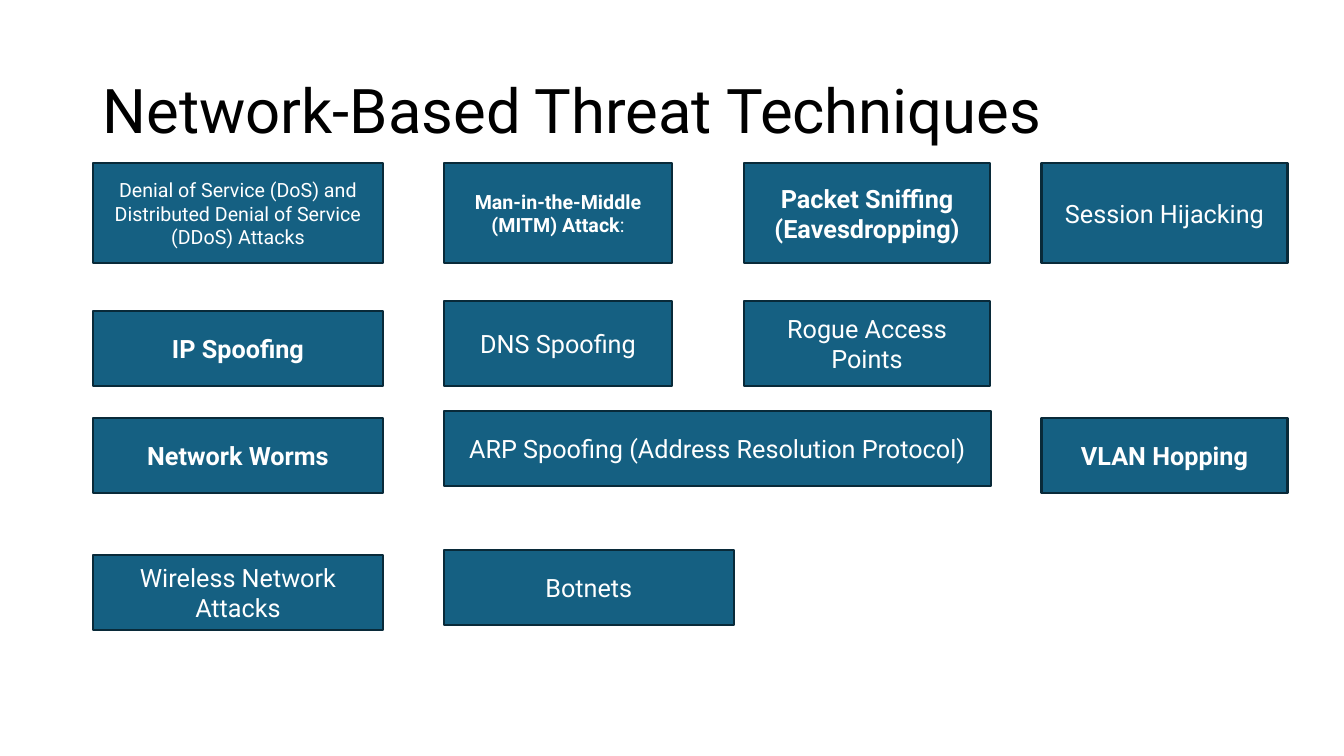
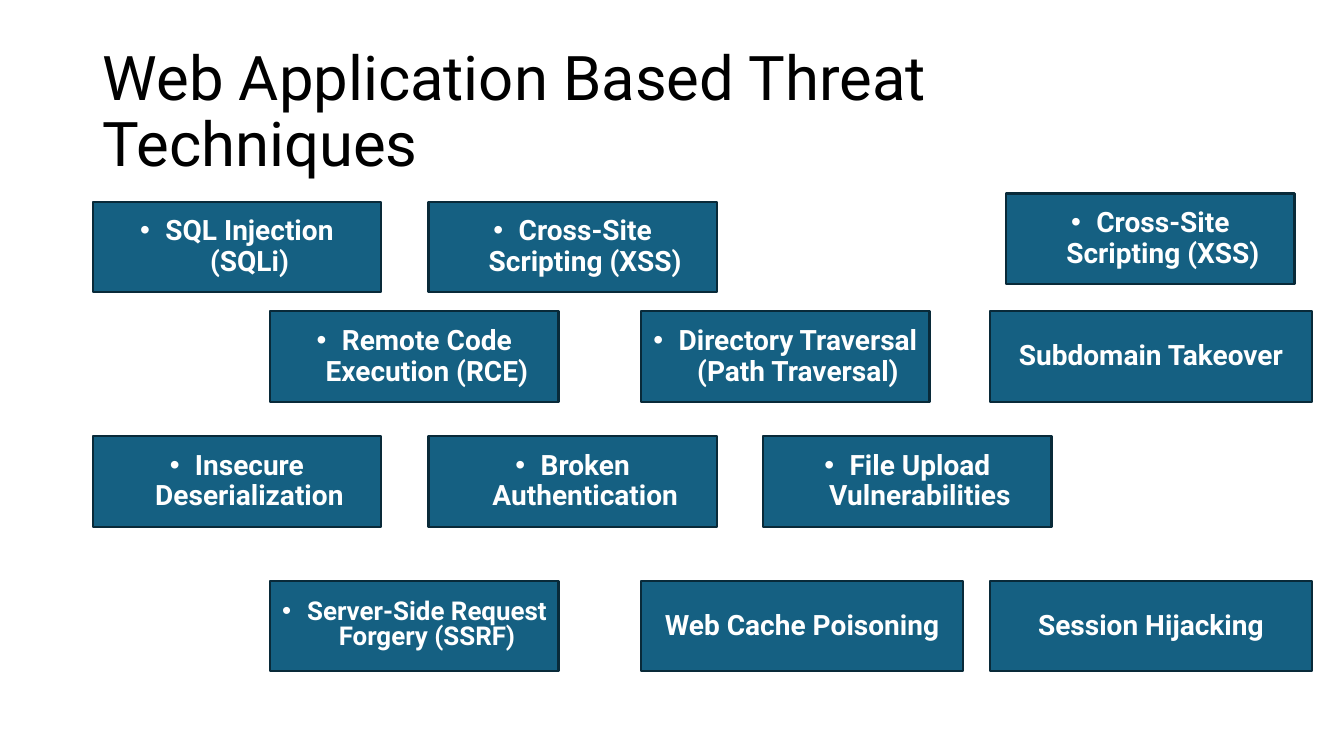
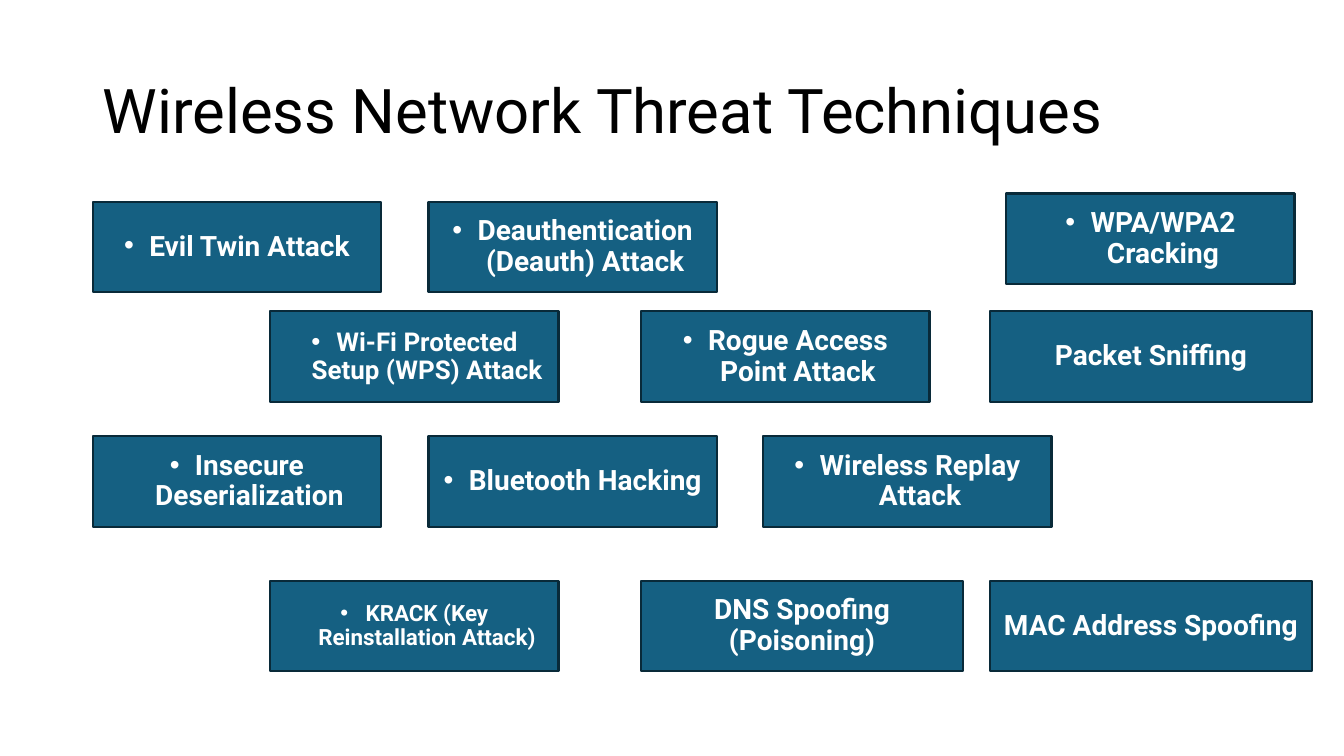
from pptx import Presentation
from pptx.dml.color import RGBColor
from pptx.enum.shapes import MSO_SHAPE
from pptx.enum.text import MSO_ANCHOR, PP_ALIGN
from pptx.oxml.ns import qn
from pptx.util import Inches, Pt
from lxml import etree

BLACK = RGBColor(0x00, 0x00, 0x00)
WHITE = RGBColor(0xFF, 0xFF, 0xFF)
TEAL = RGBColor(0x15, 0x60, 0x82)
DARK_TEAL = RGBColor(0x09, 0x2A, 0x39)
FONT = "Roboto"

deck = Presentation()
deck.slide_width = Inches(13.33)
deck.slide_height = Inches(7.5)


def add_titled_slide(text):
    slide = deck.slides.add_slide(deck.slide_layouts[6])
    frame = slide.shapes.add_textbox(Inches(0.92), Inches(0.4), Inches(11.5), Inches(1.45)).text_frame
    frame.word_wrap = True
    frame.vertical_anchor = MSO_ANCHOR.MIDDLE
    frame.text = text
    heading = frame.paragraphs[0]
    heading.line_spacing = 0.9
    heading.font.size = Pt(44)
    heading.font.name = FONT
    heading.font.color.rgb = BLACK
    return slide


def add_card(slide, text, left, top, width, height, size, bold, bulleted=False, spacing=1.0):
    card = slide.shapes.add_shape(
        MSO_SHAPE.RECTANGLE, Inches(left), Inches(top), Inches(width), Inches(height))
    card.shadow.inherit = False
    card.fill.solid()
    card.fill.fore_color.rgb = TEAL
    card.line.color.rgb = DARK_TEAL
    card.line.width = Pt(1.5)
    frame = card.text_frame
    frame.word_wrap = True
    frame.vertical_anchor = MSO_ANCHOR.MIDDLE
    frame.text = text
    label = frame.paragraphs[0]
    label.alignment = PP_ALIGN.CENTER
    label.line_spacing = spacing
    if bulleted:
        properties = label._p.get_or_add_pPr()
        properties.set("marL", str(Inches(0.25)))
        properties.set("indent", str(-Inches(0.25)))
        etree.SubElement(properties, qn("a:buFont")).set("typeface", "Arial")
        etree.SubElement(properties, qn("a:buChar")).set("char", "•")
    label.font.size = Pt(size)
    label.font.name = FONT
    label.font.bold = bold
    label.font.color.rgb = WHITE
    return label


FIRST, SECOND, THIRD, FOURTH = (0.92, 2.88), (4.4, 2.27), (7.38, 2.44), (10.33, 2.44)
SECOND_TO_THIRD = (4.4, 5.43)
SECOND_WIDE = (4.4, 2.88)

network_techniques = [
    ("Denial of Service (DoS) and Distributed Denial of Service (DDoS) Attacks", FIRST, 1.62, 0.99, 14, False),
    ("Man-in-the-Middle (MITM) Attack", SECOND, 1.62, 0.99, 14, True),
    ("Packet Sniffing (Eavesdropping)", THIRD, 1.62, 0.99, 18, True),
    ("Session Hijacking", FOURTH, 1.62, 0.99, 18, False),
    ("IP Spoofing", FIRST, 3.09, 0.74, 18, True),
    ("DNS Spoofing", SECOND, 2.99, 0.84, 18, False),
    ("Rogue Access Points", THIRD, 2.99, 0.84, 18, False),
    ("Network Worms", FIRST, 4.15, 0.74, 18, True),
    ("ARP Spoofing (Address Resolution Protocol)", SECOND_TO_THIRD, 4.08, 0.74, 18, False),
    ("VLAN Hopping", FOURTH, 4.15, 0.74, 18, True),
    ("Wireless Network Attacks", FIRST, 5.51, 0.74, 18, False),
    ("Botnets", SECOND_WIDE, 5.46, 0.74, 18, False),
]

network_slide = add_titled_slide("Network-Based Threat Techniques")
for technique, (left, width), top, height, size, bold in network_techniques:
    label = add_card(network_slide, technique, left, top, width, height, size, bold)
    if technique.startswith("Man-in-the-Middle"):
        colon = label.add_run()
        colon.text = ":"
        colon.font.bold = False

CARD_HEIGHT = 0.9
NARROW, WIDE = 2.86, 3.19
staggered_places = [
    (0.92, 2.0, NARROW), (4.25, 2.0, NARROW), (9.98, 1.92, NARROW),
    (2.68, 3.09, NARROW), (6.36, 3.09, NARROW), (9.82, 3.09, WIDE),
    (0.92, 4.33, NARROW), (4.25, 4.33, NARROW), (7.57, 4.33, NARROW),
    (2.68, 5.76, NARROW), (6.36, 5.76, WIDE), (9.82, 5.76, WIDE),
]

staggered_techniques = {
    "Web Application Based Threat Techniques": [
        "SQL Injection (SQLi)", "Cross-Site Scripting (XSS)", "Cross-Site Scripting (XSS)",
        "Remote Code Execution (RCE)", "Directory Traversal (Path Traversal)", "Subdomain Takeover",
        "Insecure Deserialization", "Broken Authentication", "File Upload Vulnerabilities",
        "Server-Side Request Forgery (SSRF)", "Web Cache Poisoning", "Session Hijacking",
    ],
    "Wireless Network Threat Techniques": [
        "Evil Twin Attack", "Deauthentication (Deauth) Attack", "WPA/WPA2 Cracking",
        "Wi-Fi Protected Setup (WPS) Attack", "Rogue Access Point Attack", "Packet Sniffing",
        "Insecure Deserialization", "Bluetooth Hacking", "Wireless Replay Attack",
        "KRACK (Key Reinstallation Attack)", "DNS Spoofing (Poisoning)", "MAC Address Spoofing",
    ],
}
reduced_sizes = {
    "Server-Side Request Forgery (SSRF)": 18.5,
    "Wi-Fi Protected Setup (WPS) Attack": 18.5,
    "KRACK (Key Reinstallation Attack)": 16,
}
tight_spacings = {"Server-Side Request Forgery (SSRF)": 0.8}

for heading, techniques in staggered_techniques.items():
    slide = add_titled_slide(heading)
    for technique, (left, top, width) in zip(techniques, staggered_places):
        add_card(slide, technique, left, top, width, CARD_HEIGHT,
                 reduced_sizes.get(technique, 20), True,
                 bulleted=width == NARROW, spacing=tight_spacings.get(technique, 0.9))

deck.save("out.pptx")
